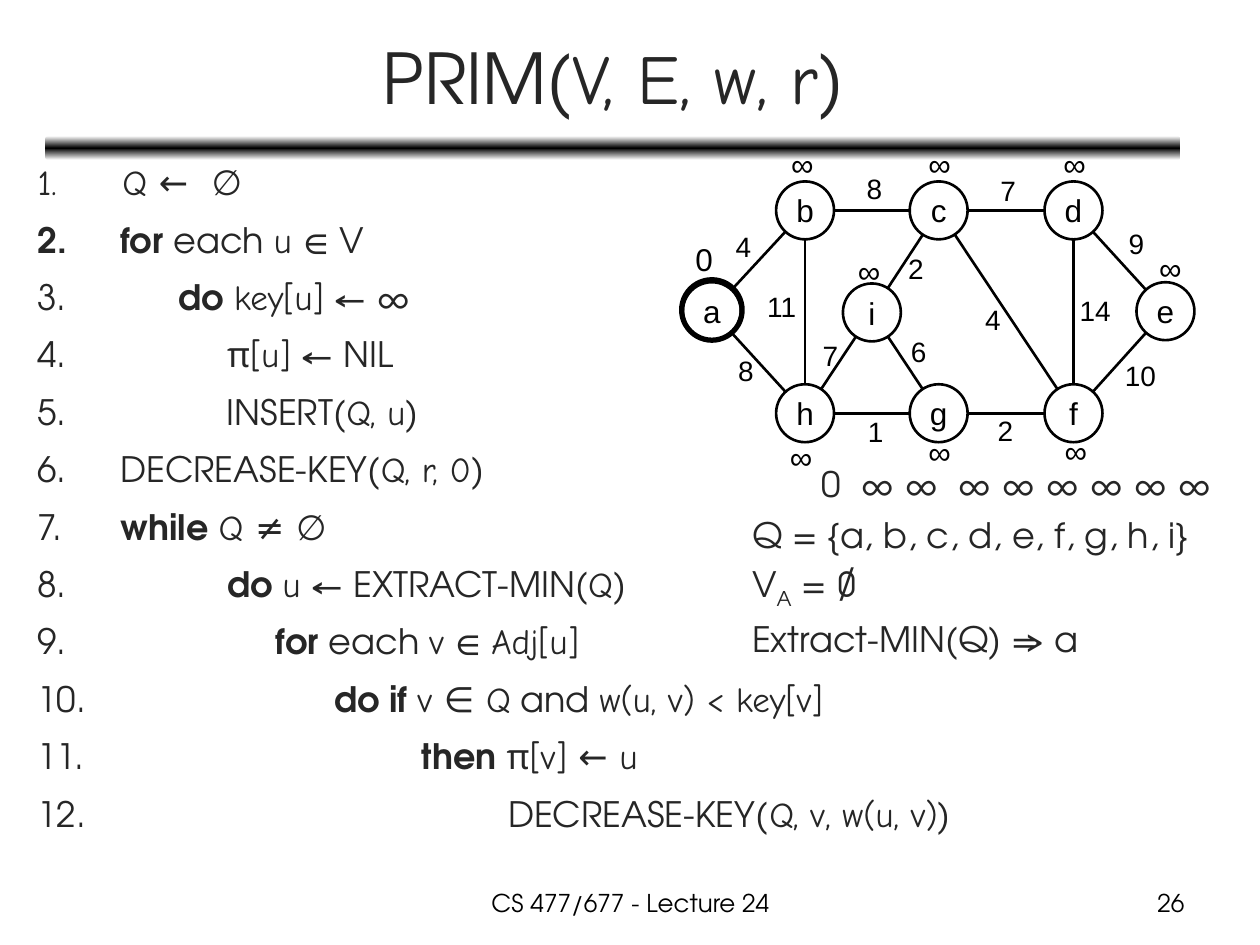
from copy import deepcopy
from dataclasses import dataclass
from math import hypot

from pptx import Presentation
from pptx.dml.color import RGBColor
from pptx.enum.shapes import MSO_CONNECTOR, MSO_SHAPE
from pptx.enum.text import MSO_ANCHOR, MSO_AUTO_SIZE, PP_ALIGN
from pptx.oxml.ns import qn
from pptx.util import Inches, Pt

CENTER, LEFT, RIGHT = PP_ALIGN.CENTER, PP_ALIGN.LEFT, PP_ALIGN.RIGHT
MIDDLE = MSO_ANCHOR.MIDDLE
STRAIGHT = MSO_CONNECTOR.STRAIGHT
ELLIPSE, ROUNDED = MSO_SHAPE.OVAL, MSO_SHAPE.ROUNDED_RECTANGLE


@dataclass(frozen=True)
class Theme:
    ink: RGBColor = RGBColor(0x26, 0x26, 0x26)
    black: RGBColor = RGBColor(0, 0, 0)
    white: RGBColor = RGBColor(255, 255, 255)
    main: str = "TeX Gyre Adventor"
    variable: str = "Comic Neue"
    graph: str = "Arial"
    title_size: int = 40
    code_size: int = 20
    tab_size: int = 24
    node_size: int = 18
    weight_size: int = 16
    footer_size: int = 14


theme = Theme()


def add_run(paragraph, text, size, font, color, bold=False):
    run = paragraph.add_run()
    run.text = text
    run.font.size = Pt(size)
    run.font.name = font
    run.font.bold = bold
    run.font.color.rgb = color
    return run


def add_text_box(left, top, width, height, text="", size=0, font="", align=LEFT, wrap=True):
    box = slide.shapes.add_textbox(Inches(left), Inches(top), Inches(width), Inches(height))
    frame = box.text_frame
    frame.word_wrap = wrap
    if text:
        frame.paragraphs[0].alignment = align
        add_run(frame.paragraphs[0], text, size, font, theme.black)
    return frame


presentation = Presentation()
presentation.slide_width, presentation.slide_height = Inches(10), Inches(7.5)
slide = presentation.slides.add_slide(presentation.slide_layouts[5])

# Gradient rule under the title
rule = slide.shapes.add_shape(ROUNDED, Inches(0.36), Inches(1.08), Inches(9.01), Inches(0.19))
rule.shadow.inherit = False
rule.line.fill.background()
rule.fill.gradient()
rule.fill.gradient_angle = 90
first_stop, middle_stop = rule.fill.gradient_stops
first_stop.color.rgb, first_stop.position = theme.white, 0
middle_stop.color.rgb, middle_stop.position = theme.black, 0.5
stop_list = rule.element.spPr.find(".//" + qn("a:gsLst"))
last_stop = deepcopy(stop_list[0])
last_stop.set("pos", "100000")
stop_list.append(last_stop)

# Title
title = slide.shapes.title
title.left, title.top, title.width, title.height = Inches(0.37), Inches(0.11), Inches(9), Inches(0.99)
title.text_frame.auto_size = MSO_AUTO_SIZE.NONE
title.text_frame.vertical_anchor = MIDDLE
title_paragraph = title.text_frame.paragraphs[0]
title_paragraph.alignment = CENTER
for text, font in (("PRIM(", theme.main), ("V, E, w, r", theme.variable), (")", theme.main)):
    add_run(title_paragraph, text, theme.title_size, font, theme.ink)

# Numbered pseudocode: m = main face, b = bold main face, v = variable face
code_lines = [
    [("v", " Q ←  ∅")],
    [("b", " for "), ("m", "each "), ("v", "u "), ("m", "∈ V")],
    [("m", "       "), ("b", "do "), ("v", "key[u]"), ("m", " ← ∞")],
    [("m", "            "), ("v", "π[u]"), ("m", " ← NIL")],
    [("m", "            INSERT("), ("v", "Q, u"), ("m", ")")],
    [("m", " DECREASE-KEY("), ("v", "Q, r, 0"), ("m", ")")],
    [("m", " "), ("b", "while "), ("v", "Q ≠ ∅")],
    [("m", "            "), ("b", "do "), ("v", "u"), ("m", " ← EXTRACT-MIN("), ("v", "Q"), ("m", ")")],
    [("m", "                 "), ("b", "for "), ("m", "each "), ("v", "v "), ("m", "∈ "), ("v", "Adj[u]")],
    [("m", "                       "), ("b", "do if "), ("v", "v ∈ Q"), ("m", " and "),
     ("v", "w(u, v) < key[v]")],
    [("m", "                                "), ("b", "then "), ("v", "π[v] ← u")],
    [("m", "                                         DECREASE-KEY("), ("v", "Q, v, w(u, v)"), ("m", ")")],
]
code = add_text_box(0.2, 1.16, 9.27, 6.12)
for index, line in enumerate(code_lines):
    paragraph = code.add_paragraph() if index else code.paragraphs[0]
    properties = paragraph._p.get_or_add_pPr()
    properties.set("marL", str(Inches(0.58)))
    properties.set("indent", str(-Inches(0.58)))
    numbering = properties.makeelement(qn("a:buAutoNum"), {"type": "arabicPeriod"})
    properties.append(numbering)
    paragraph.line_spacing = 1.2
    paragraph.space_before = Pt(4 if index else 0)
    for style, text in line:
        font = theme.variable if style == "v" else theme.main
        add_run(paragraph, text, theme.code_size, font, theme.ink, style == "b")

# Graph nodes: left, top, key text, key left, key top
diameter = 0.46
nodes = {
    "a": (5.42, 2.24, "0", 5.42, 1.86),
    "b": (6.16, 1.44, "∞", 6.18, 1.1),
    "c": (7.22, 1.44, "∞", 7.27, 1.1),
    "d": (8.29, 1.44, "∞", 8.34, 1.1),
    "e": (9.02, 2.24, "∞", 9.1, 1.93),
    "h": (6.16, 3.05, "∞", 6.17, 3.43),
    "g": (7.22, 3.05, "∞", 7.27, 3.39),
    "f": (8.29, 3.05, "∞", 8.35, 3.38),
    "i": (6.69, 2.25, "∞", 6.71, 1.95),
}
circles = [(name, left, top, diameter, 1.5) for name, (left, top, *_) in nodes.items()]
circles.append(("", 5.41, 2.22, 0.48, 3))  # Heavy ring marks the start node
for name, left, top, size, weight in circles:
    circle = slide.shapes.add_shape(ELLIPSE, Inches(left), Inches(top), Inches(size), Inches(size))
    circle.shadow.inherit = False
    circle.fill.background()
    circle.line.color.rgb = theme.black
    circle.line.width = Pt(weight)
    if name:
        circle.text_frame.word_wrap = False
        circle.text_frame.vertical_anchor = MIDDLE
        circle.text_frame.paragraphs[0].alignment = CENTER
        add_run(circle.text_frame.paragraphs[0], name, theme.node_size, theme.graph, theme.black)

# Edges run from rim to rim: ends, weight, label left, label top
edges = [
    ("ab", "4", 5.74, 1.77), ("bc", "8", 6.78, 1.31), ("cd", "7", 7.84, 1.33),
    ("ah", "8", 5.76, 2.76), ("bh", "11", 5.99, 2.25), ("hg", "1", 6.79, 3.24),
    ("gf", "2", 7.82, 3.23), ("hi", "7", 6.43, 2.64), ("ci", "2", 7.11, 1.95),
    ("cf", "4", 7.72, 2.35), ("df", "14", 8.47, 2.28), ("de", "9", 8.86, 1.75),
    ("ef", "10", 8.83, 2.8), ("ig", "6", 7.13, 2.61),
]
radius = diameter / 2
for (start, end), weight, label_left, label_top in edges:
    start_x, start_y = (value + radius for value in nodes[start][:2])
    end_x, end_y = (value + radius for value in nodes[end][:2])
    length = hypot(end_x - start_x, end_y - start_y)
    step_x = radius * (end_x - start_x) / length
    step_y = radius * (end_y - start_y) / length
    edge = slide.shapes.add_connector(
        STRAIGHT, Inches(start_x + step_x), Inches(start_y + step_y),
        Inches(end_x - step_x), Inches(end_y - step_y))
    edge.line.color.rgb = theme.black
    edge.line.width = Pt(1.5)
    edge_properties = edge.element.spPr
    edge_properties.append(edge_properties.makeelement(qn("a:effectLst"), {}))
    add_text_box(label_left, label_top, 0.32 if len(weight) == 1 else 0.45, 0.37,
                 weight, theme.weight_size, theme.graph, wrap=False)

# Key above or below each node
for _, _, key, left, top in nodes.values():
    add_text_box(left, top, 0.34 if key == "0" else 0.38, 0.4,
                 key, theme.node_size, theme.graph, wrap=False)

# Queue state: the keys stand on tab stops
state = add_text_box(5.87, 3.57, 4.11, 2.27)
keys = state.paragraphs[0]
tab_list = keys._p.get_or_add_pPr().makeelement(qn("a:tabLst"), {})
for position in [0.55, 0.86, 1.21] + [1.63 + 0.35 * column for column in range(6)]:
    tab_list.append(tab_list.makeelement(qn("a:tab"), {"pos": str(Inches(position)), "algn": "l"}))
keys._p.get_or_add_pPr().append(tab_list)
add_run(keys, "\t", theme.tab_size, theme.main, theme.ink)
add_run(keys, "\t".join(["0"] + ["∞"] * 8), theme.code_size, theme.main, theme.ink)
for line in (["Q = {a, b, c, d, e, f, g, h, i}"], ["V", "A", " = ∅"], ["Extract-MIN(Q) ⇒ a"]):
    paragraph = state.add_paragraph()
    paragraph.space_before = Pt(4)
    for text in line:
        run = add_run(paragraph, text, theme.code_size, theme.main, theme.ink)
        if text == "A":
            run.font._element.set("baseline", "-25000")

# Footer and slide number
add_text_box(3.42, 7, 3.17, 0.35, "CS 477/677 - Lecture 24", theme.footer_size, theme.main, CENTER)
add_text_box(7.17, 7, 2.33, 0.35, "26", theme.footer_size, theme.main, RIGHT)

presentation.save("out.pptx")
